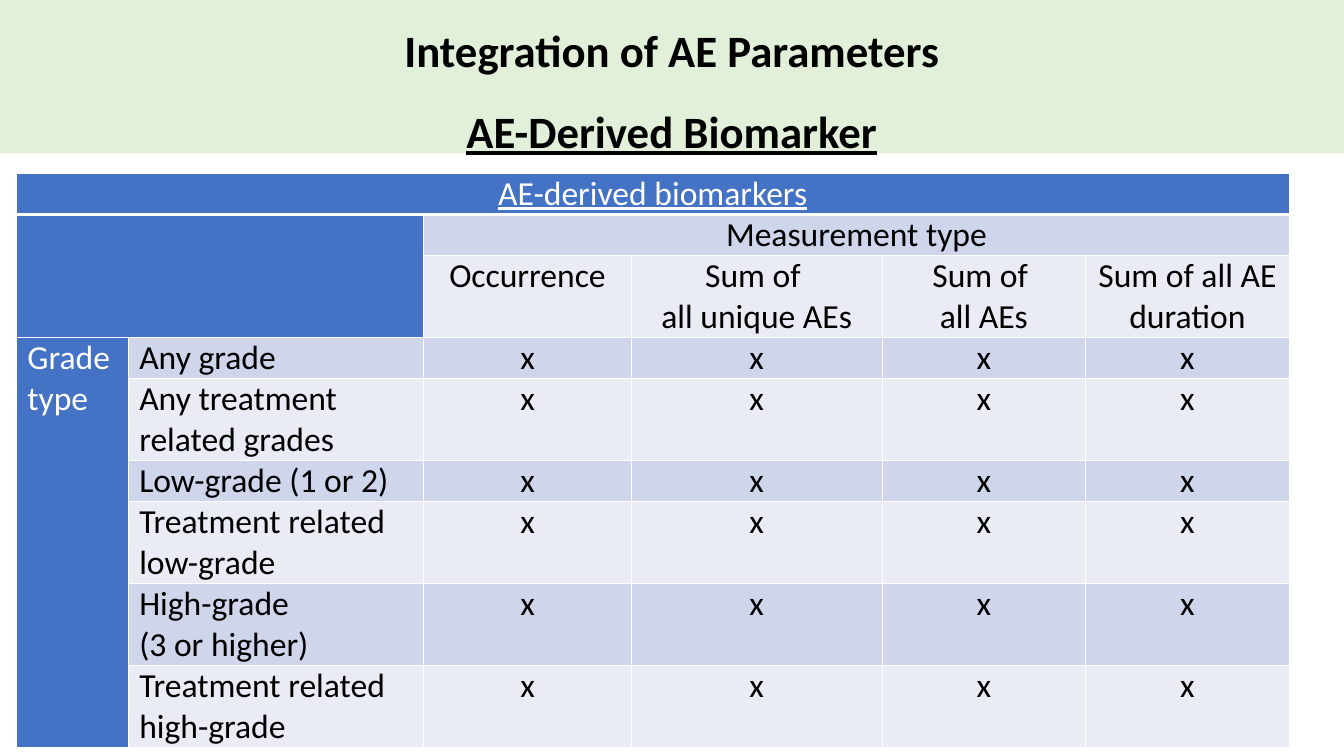
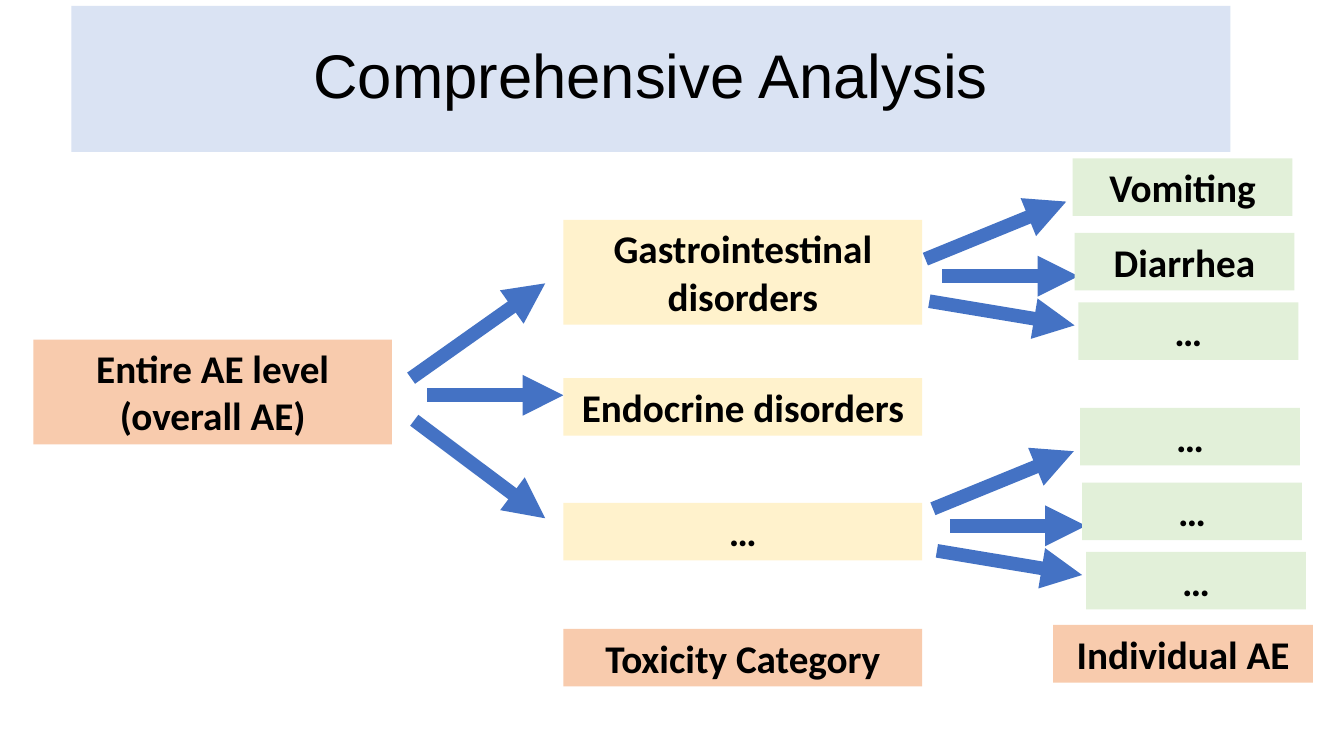
"""Builds two slides on biomarkers derived from adverse events."""
from lxml import etree
from pptx import Presentation
from pptx import util as u
from pptx.dml import color
from pptx.enum import shapes, text
from pptx.oxml import ns

BLACK, WHITE, BLUE = "000000", "FFFFFF", "4472C4"
GREEN, PALE_BLUE, ORANGE, YELLOW = "E2F0D9", "DAE3F3", "F8CBAD", "FFF2CC"
BAND_DARK, BAND_LIGHT = "CFD5EA", "E9EBF5"
CENTER, LEFT = text.PP_ALIGN.CENTER, text.PP_ALIGN.LEFT


def rgb(value):
    return color.RGBColor.from_string(value)


def paint(target, value):
    target.fill.solid()
    target.fill.fore_color.rgb = rgb(value)


def add_text(paragraph, content, size=24, font="Calibri", ink=BLACK,
             bold=False, underline=False, align=CENTER):
    paragraph.alignment = align
    run = paragraph.add_run()
    run.text = content
    run.font.size = u.Pt(size)
    run.font.name = font
    run.font.color.rgb = rgb(ink)
    run.font.bold = bold
    run.font.underline = underline


def add_lines(frame, content, **style):
    for index, line in enumerate(content.split("\n")):
        paragraph = frame.add_paragraph() if index else frame.paragraphs[0]
        add_text(paragraph, line, **style)


def add_child(parent, tag, **attributes):
    return etree.SubElement(parent, ns.qn(tag), **attributes)


def add_border(cell, side, width):
    properties = cell._tc.get_or_add_tcPr()
    line = add_child(properties, f"a:ln{side}", w=str(u.Pt(width)))
    add_child(add_child(line, "a:solidFill"), "a:srgbClr", val=WHITE)


class Deck:
    def __init__(self, width, height):
        self.presentation = Presentation()
        self.presentation.slide_width = u.Cm(width)
        self.presentation.slide_height = u.Cm(height)
        self.slide = None

    def add_slide(self):
        layout = self.presentation.slide_layouts.get_by_name("Title Only")
        self.slide = self.presentation.slides.add_slide(layout)

    def title(self, box, fill, lines, spacing, before=0, after=0, **style):
        shape = self.slide.shapes.title
        shape.left, shape.top, shape.width, shape.height = map(u.Cm, box)
        paint(shape, fill)
        frame = shape.text_frame
        frame.auto_size = text.MSO_AUTO_SIZE.NONE
        frame.vertical_anchor = text.MSO_ANCHOR.MIDDLE
        paragraph = frame.paragraphs[0]
        paragraph.line_spacing = spacing
        paragraph.space_before = u.Pt(before)
        paragraph.space_after = u.Pt(after)
        for index, line in enumerate(lines):
            if index:
                paragraph.add_line_break()
            add_text(paragraph, line, underline=index > 0, **style)

    def label(self, content, left, top, width, fill, height=1.45):
        shape = self.slide.shapes.add_textbox(*map(u.Cm, (left, top, width, height)))
        paint(shape, fill)
        frame = shape.text_frame
        frame.word_wrap = True
        frame.auto_size = text.MSO_AUTO_SIZE.SHAPE_TO_FIT_TEXT
        add_lines(frame, content, size=28, bold=True)

    def arrow(self, *ends):
        connector = self.slide.shapes.add_connector(
            shapes.MSO_CONNECTOR.STRAIGHT, *map(u.Cm, ends))
        connector.line.width = u.Pt(9.75)
        connector.line.color.rgb = rgb(BLUE)
        add_child(connector.line._get_or_add_ln(), "a:tailEnd", type="triangle")
        add_child(connector._element.spPr, "a:effectLst")

    def table(self, left, top, widths, heights):
        frame = self.slide.shapes.add_table(
            len(heights), len(widths),
            *map(u.Cm, (left, top, sum(widths), sum(heights))))
        table = frame.table
        table.first_row = table.horz_banding = False
        for column, width in zip(table.columns, widths):
            column.width = u.Cm(width)
        for row, height in zip(table.rows, heights):
            row.height = u.Cm(height)
        for index, row in enumerate(table.rows):
            for cell in row.cells:
                cell.margin_left = cell.margin_right = u.Cm(0.28)
                cell.margin_top = cell.margin_bottom = 0
                for side in "LRTB":
                    add_border(cell, side, 3 if index == 0 and side == "B" else 1)
        return table

    def cell(self, table, row, column, content, fill, rows=1, columns=1, **style):
        cell = table.cell(row, column)
        if rows * columns > 1:
            cell.merge(table.cell(row + rows - 1, column + columns - 1))
        paint(cell, fill)
        if content:
            add_lines(cell.text_frame, content, **style)


def build_biomarkers(deck):
    deck.add_slide()
    deck.title((0, 0, 33.87, 3.86), GREEN,
               ["Integration of AE Parameters", "AE-Derived Biomarker"],
               spacing=1.5, before=18, after=12, size=32, bold=True)
    measures = ["Occurrence", "Sum of \nall unique AEs", "Sum of \nall AEs",
                "Sum of all AE duration"]
    grades = ["Any grade", "Any treatment related grades", "Low-grade (1 or 2)",
              "Treatment related low-grade ", "High-grade \n(3 or higher)",
              "Treatment related high-grade "]
    single, double = 1.03, 2.06
    heights = [single, single, double, single, double, single, double, double, double]
    table = deck.table(0.41, 4.37, [2.82, 7.45, 5.23, 6.32, 5.13, 5.13], heights)
    deck.cell(table, 0, 0, "AE-derived biomarkers", BLUE, columns=6,
              ink=WHITE, underline=True)
    deck.cell(table, 1, 0, "", BLUE, rows=2, columns=2)
    deck.cell(table, 1, 2, "Measurement type", BAND_DARK, columns=4)
    deck.cell(table, 3, 0, "Grade type", BLUE, rows=6, ink=WHITE, align=LEFT)
    for column, measure in enumerate(measures, 2):
        deck.cell(table, 2, column, measure, BAND_LIGHT)
    for row, grade in enumerate(grades, 3):
        band = BAND_DARK if row % 2 else BAND_LIGHT
        deck.cell(table, row, 1, grade, band, align=LEFT)
        for column in range(2, 6):
            deck.cell(table, row, column, "x", band)


def build_analysis(deck):
    deck.add_slide()
    deck.title((1.8, 0.15, 29.21, 3.68), PALE_BLUE, ["Comprehensive Analysis"],
               spacing=0.9, size=44, font="Arial")
    category_left, wide, tall = 14.2, 9.04, 2.64

    deck.label("Entire AE level (overall AE)", 0.84, 8.56, wide, ORANGE, tall)
    for ends in [(10.36, 9.53, 13.74, 7.14), (10.77, 9.96, 14.2, 9.96),
                 (10.44, 10.59, 13.74, 13.06)]:
        deck.arrow(*ends)
    deck.label("Gastrointestinal disorders", category_left, 5.54, wide, YELLOW, tall)
    deck.label("Endocrine disorders", category_left, 9.53, wide, YELLOW)
    deck.label("…", category_left, 12.67, wide, YELLOW)
    deck.label("Toxicity Category", category_left, 15.85, wide, ORANGE)

    fan = [(23.32, 6.53, 26.87, 5.08), (23.75, 6.96, 27.18, 6.96),
           (23.42, 7.59, 27.08, 8.2)]
    places = [(27.03, 3.99), (27.08, 5.87), (27.18, 7.62)]
    groups = [(0, 0, ["Vomiting", "Diarrhea", "…"]), (0.19, 6.29, ["…"] * 3)]
    for right, down, events in groups:
        for x1, y1, x2, y2 in fan:
            deck.arrow(x1 + right, y1 + down, x2 + right, y2 + down)
        for event, (left, top) in zip(events, places):
            deck.label(event, left + right, top + down, 5.54, GREEN)
    deck.label("Individual AE", 26.54, 15.75, 6.55, ORANGE)


deck = Deck(33.87, 19.05)
build_biomarkers(deck)
build_analysis(deck)
deck.presentation.save("out.pptx")
